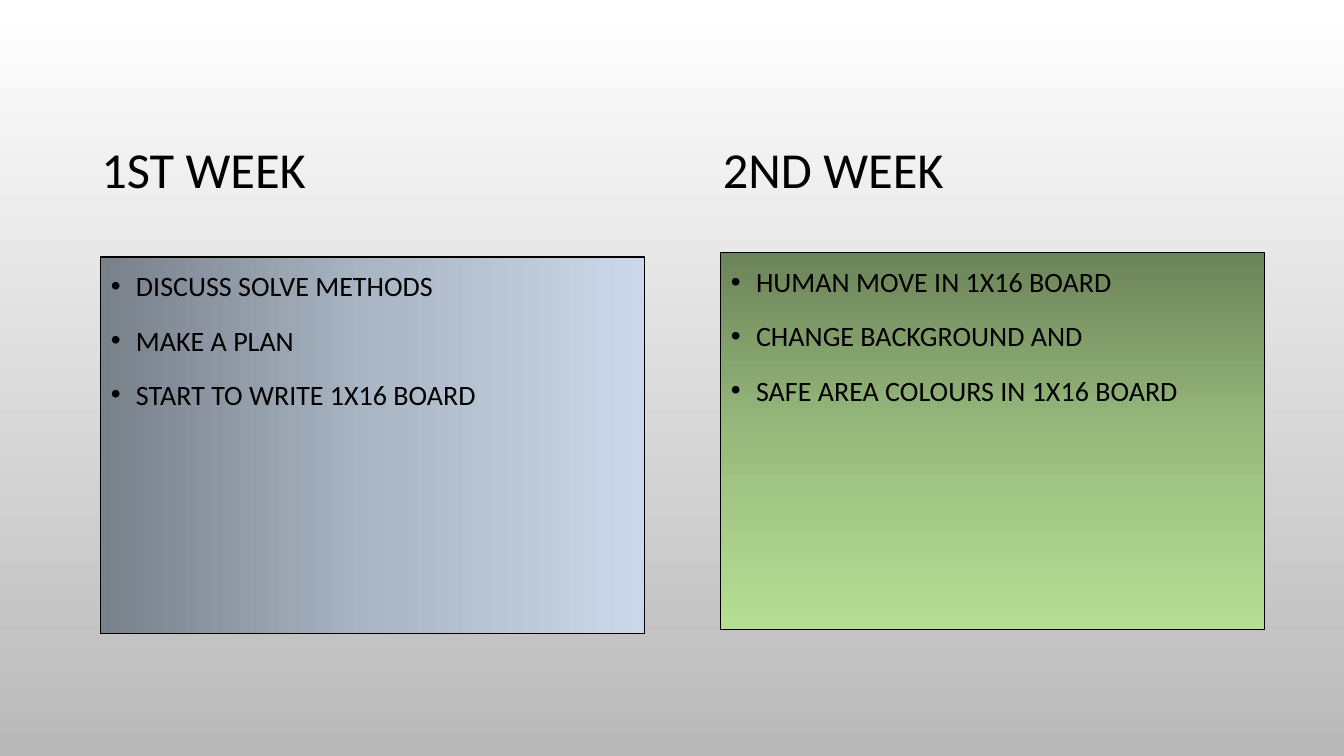
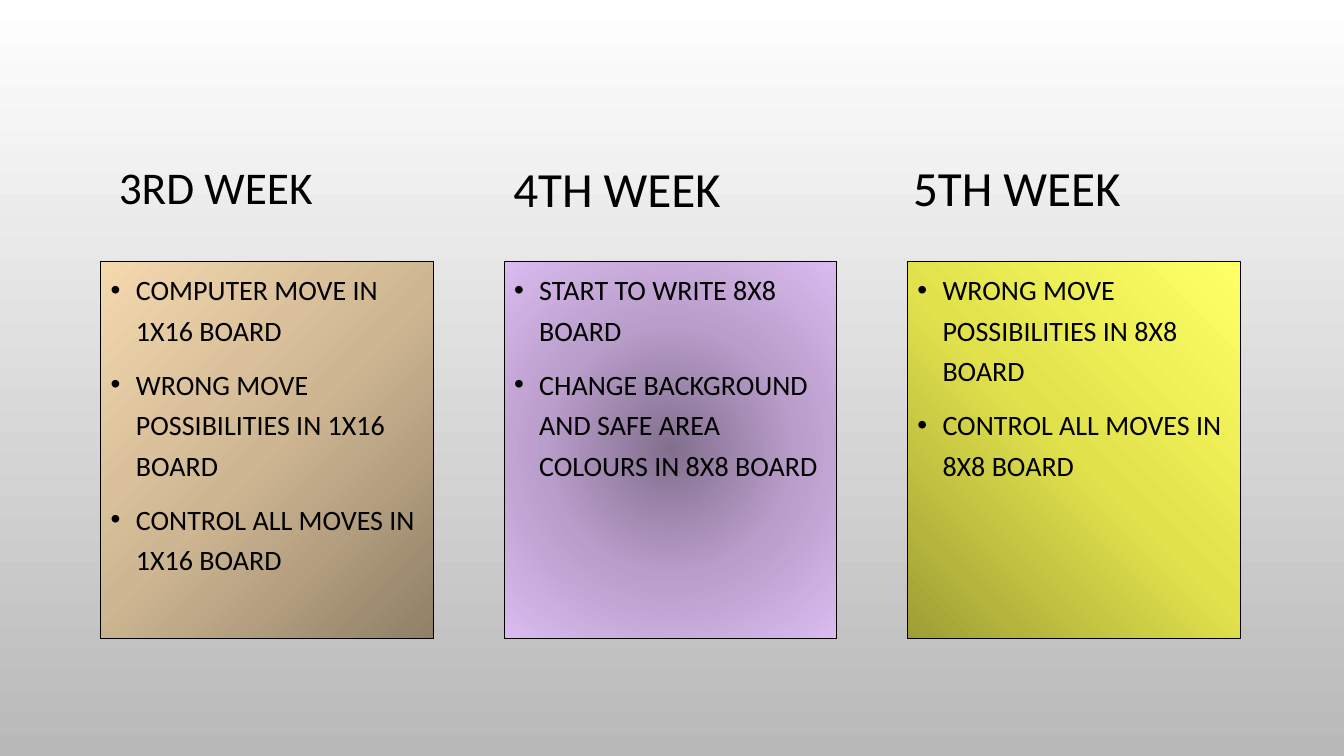
from dataclasses import dataclass
from typing import Any, NamedTuple

from lxml.etree import SubElement
from pptx import Presentation
from pptx.dml.color import RGBColor
from pptx.enum.shapes import MSO_SHAPE as Preset
from pptx.enum.text import MSO_ANCHOR as Anchor, PP_ALIGN as Align
from pptx.oxml import parse_xml
from pptx.oxml.ns import nsdecls, qn
from pptx.util import Inches, Pt


class Gradient(NamedTuple):
    colors: tuple[str, ...]
    angle: int = 0
    focus: tuple[int, int] | None = None  # percent across and down, for a circular gradient


@dataclass(frozen=True)
class Theme:
    font: str = "Calibri"
    ink: RGBColor = RGBColor(0, 0, 0)
    item_size: float = 20
    outline: float = 0.75
    background: Gradient = Gradient(("FFFFFF", "B9B9B9"), 90)
    slate: Gradient = Gradient(("78808A", "AAB6C4", "CAD8E9"))
    green: Gradient = Gradient(("6C8459", "99BC7E", "B6DF95"), 90)
    tan: Gradient = Gradient(("918067", "CEB692", "F4D8AE"), focus=(100, 100))
    violet: Gradient = Gradient(("826F8E", "B99DCA", "DBBBF0"), focus=(50, 50))
    yellow: Gradient = Gradient(("9E9E36", "E1E14C", "FFFF66"), 315)


class Box(NamedTuple):
    left: float
    top: float
    width: float
    height: float

    def lengths(self) -> list[int]:
        return [Inches(value) for value in self]


@dataclass(frozen=True)
class Week:
    heading: str
    heading_box: Box
    heading_size: float
    panel_top: float
    fill: Gradient
    tasks: tuple[str, ...]


@dataclass(frozen=True)
class Plan:
    panel_width: float
    pitch: float
    weeks: tuple[Week, ...]


THEME = Theme()
PANEL_LEFT, PANEL_HEIGHT = 1, 3.74
BULLET_INDENT = Inches(0.25)
HEADING_FORMAT = {"alignment": Align.CENTER, "line_spacing": 0.9}
TASK_FORMAT = {"alignment": Align.LEFT, "line_spacing": 1.2, "space_before": Pt(10)}

PLANS = (
    Plan(5.39, 6.15, (
        Week("1ST WEEK", Box(0.52, 1.3, 3, 0.81), 36, 2.55, THEME.slate,
             ("DISCUSS SOLVE METHODS", "MAKE A PLAN", "START TO WRITE 1X16 BOARD")),
        Week("2ND WEEK", Box(6.02, 1.3, 4.49, 0.81), 36, 2.51, THEME.green,
             ("HUMAN MOVE IN 1X16 BOARD", "CHANGE BACKGROUND AND",
              "SAFE AREA COLOURS IN 1X16 BOARD")),
    )),
    Plan(3.3, 4, (
        Week("3RD WEEK", Box(1, 1.46, 2.28, 0.85), 32.4, 2.59, THEME.tan,
             ("COMPUTER MOVE IN 1X16 BOARD", "WRONG MOVE POSSIBILITIES IN 1X16 BOARD",
              "CONTROL ALL MOVES IN 1X16 BOARD")),
        Week("4TH WEEK", Box(4.82, 1.48, 2.6, 0.85), 35.1, 2.59, THEME.violet,
             ("START TO WRITE 8X8 BOARD",
              "CHANGE BACKGROUND AND SAFE AREA COLOURS IN 8X8 BOARD")),
        Week("5TH WEEK", Box(8.78, 1.36, 2.61, 1.06), 35.1, 2.59, THEME.yellow,
             ("WRONG MOVE POSSIBILITIES IN 8X8 BOARD", "CONTROL ALL MOVES IN 8X8 BOARD")),
    )),
)


def apply_gradient(properties: Any, gradient: Gradient) -> None:
    """Replace the solid fill in the given properties element by a gradient."""
    last = len(gradient.colors) - 1
    stops = "".join(
        f'<a:gs pos="{100000 * i // last}"><a:srgbClr val="{color}"/></a:gs>'
        for i, color in enumerate(gradient.colors))
    if gradient.focus:
        x, y = (value * 1000 for value in gradient.focus)
        direction = (f'<a:path path="circle"><a:fillToRect l="{x}" t="{y}" '
                     f'r="{100000 - x}" b="{100000 - y}"/></a:path>')
    else:
        direction = f'<a:lin ang="{gradient.angle * 60000}" scaled="0"/>'
    fill = parse_xml(f'<a:gradFill {nsdecls("a")} rotWithShape="1">'
                     f'<a:gsLst>{stops}</a:gsLst>{direction}</a:gradFill>')
    properties.replace(properties.find(qn("a:solidFill")), fill)


def write(paragraph: Any, text: str, size: float, layout: dict[str, Any]) -> None:
    for name, value in layout.items():
        setattr(paragraph, name, value)
    run = paragraph.add_run()
    run.text = text
    for name, value in {"name": THEME.font, "size": Pt(size)}.items():
        setattr(run.font, name, value)
    run.font.color.rgb = THEME.ink


def add_bullet(paragraph: Any) -> None:
    properties = paragraph._p.get_or_add_pPr()
    properties.set("marL", str(BULLET_INDENT))
    properties.set("indent", str(-BULLET_INDENT))
    SubElement(properties, qn("a:buFont"), typeface="Arial")
    SubElement(properties, qn("a:buChar"), char="•")


def add_heading(slide: Any, week: Week) -> None:
    frame = slide.shapes.add_textbox(*week.heading_box.lengths()).text_frame
    frame.word_wrap = True
    frame.vertical_anchor = Anchor.MIDDLE
    write(frame.paragraphs[0], week.heading, week.heading_size, HEADING_FORMAT)


def add_panel(slide: Any, week: Week, left: float, width: float) -> None:
    box = Box(left, week.panel_top, width, PANEL_HEIGHT)
    panel = slide.shapes.add_shape(Preset.RECTANGLE, *box.lengths())
    panel.shadow.inherit = False
    panel.fill.solid()
    apply_gradient(panel.element.spPr, week.fill)
    panel.line.color.rgb = THEME.ink
    panel.line.width = Pt(THEME.outline)
    frame = panel.text_frame
    frame.word_wrap = True
    frame.vertical_anchor = Anchor.TOP
    for i, task in enumerate(week.tasks):
        paragraph = frame.add_paragraph() if i else frame.paragraphs[0]
        write(paragraph, task, THEME.item_size, TASK_FORMAT)
        add_bullet(paragraph)


def main() -> None:
    deck = Presentation()
    deck.slide_width, deck.slide_height = Inches(13.33), Inches(7.5)
    master = deck.slide_master
    master.background.fill.solid()
    apply_gradient(master.element.find(f".//{qn('p:bgPr')}"), THEME.background)
    blank = deck.slide_layouts[6]
    for plan in PLANS:
        slide = deck.slides.add_slide(blank)
        for column, week in enumerate(plan.weeks):
            add_heading(slide, week)
            add_panel(slide, week, PANEL_LEFT + column * plan.pitch, plan.panel_width)
    deck.save("out.pptx")


if __name__ == "__main__":
    main()
